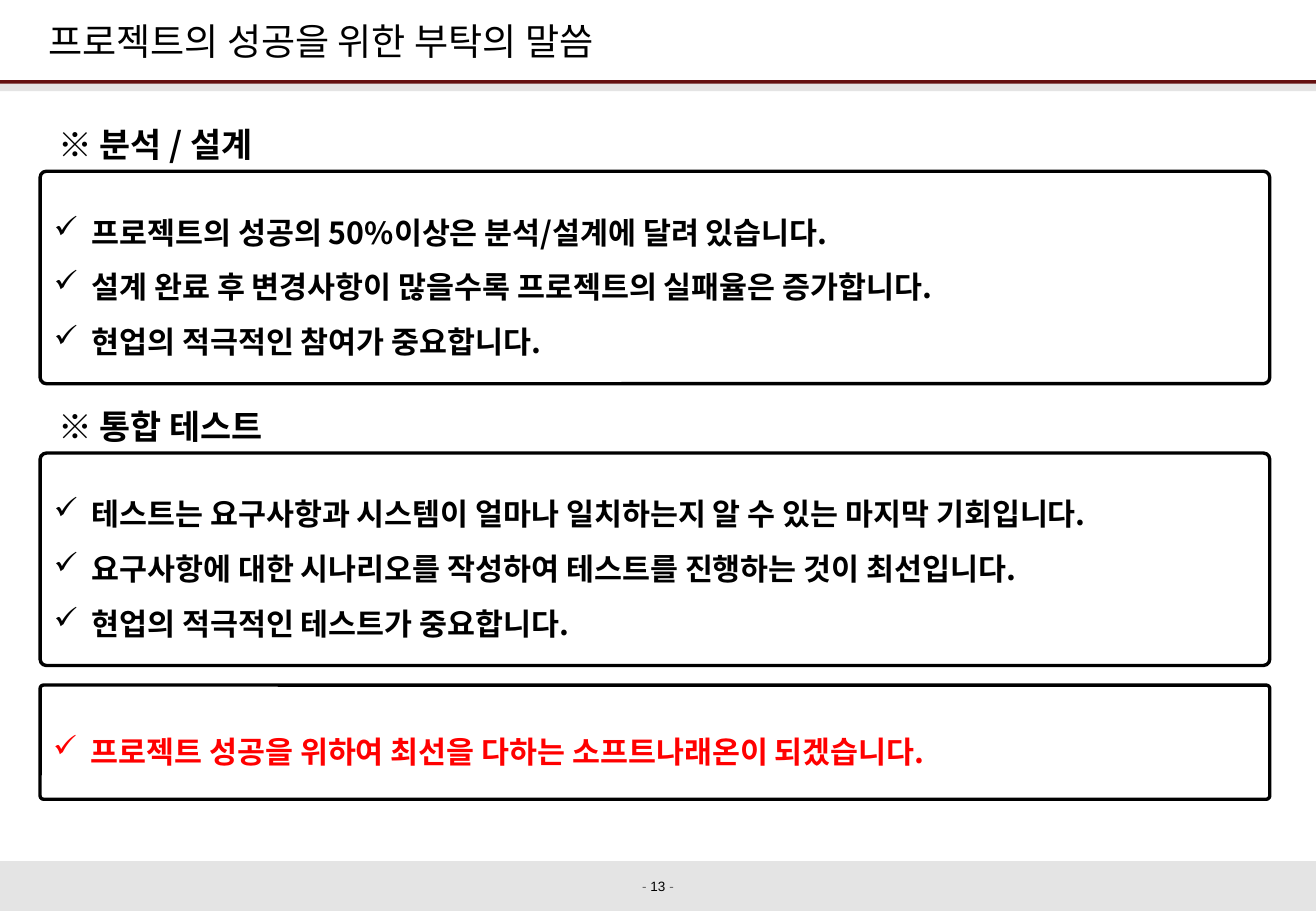
"""Build the slide with the closing requests for a successful project."""
import pptx
import pptx.dml.color
import pptx.enum.shapes
import pptx.enum.text
import pptx.oxml.ns
import pptx.util
from lxml import etree

WIDTH, HEIGHT = pptx.util.Inches(10.83), pptx.util.Inches(7.5)
SANS = "Noto Sans CJK KR"
LEFT, WIDE = 3.05, 93.44
ANCHOR = pptx.enum.text.MSO_ANCHOR
ALIGN = pptx.enum.text.PP_ALIGN
KIND = pptx.enum.shapes.MSO_SHAPE

TOPICS = [
    (18.8, "※ 분석 / 설계", [
        "프로젝트의 성공의 50%이상은 분석/설계에 달려 있습니다.",
        "설계 완료 후 변경사항이 많을수록 프로젝트의 실패율은 증가합니다.",
        "현업의 적극적인 참여가 중요합니다."]),
    (49.73, "※ 통합 테스트", [
        "테스트는 요구사항과 시스템이 얼마나 일치하는지 알 수 있는 마지막 기회입니다.",
        "요구사항에 대한 시나리오를 작성하여 테스트를 진행하는 것이 최선입니다.",
        "현업의 적극적인 테스트가 중요합니다."]),
]
PLEDGE = "프로젝트 성공을 위하여 최선을 다하는 소프트나래온이 되겠습니다."


def area(left, top, width, height):
    """Turn percent shares of the slide into lengths."""
    return (int(WIDTH * left / 100), int(HEIGHT * top / 100),
            int(WIDTH * width / 100), int(HEIGHT * height / 100))


def tint(target, code):
    """Give a fill or a font colour a solid hex colour."""
    if hasattr(target, "solid"):
        target.solid()
        target = target.fore_color
    target.rgb = pptx.dml.color.RGBColor.from_string(code)


def style(run, size, code="000000", bold=False, face=SANS):
    """Format one run, with the same face for Latin and Korean."""
    run.font.size = pptx.util.Pt(size)
    run.font.bold = bold
    tint(run.font.color, code)
    run.font.name = face
    east = etree.SubElement(run.font._element, pptx.oxml.ns.qn("a:ea"))
    east.set("typeface", face)


def tick(para):
    """Put a hanging check mark before a paragraph."""
    props = para._p.get_or_add_pPr()
    hang = pptx.util.Inches(0.31)
    props.set("marL", str(hang))
    props.set("indent", str(-hang))
    mark = etree.SubElement(props, pptx.oxml.ns.qn("a:buChar"))
    mark.set("char", "✓")


def band(slide, top, height, code):
    """Draw a plain band across the slide."""
    shape = slide.shapes.add_shape(KIND.RECTANGLE, *area(0, top, 100, height))
    shape.shadow.inherit = False
    tint(shape.fill, code)
    shape.line.fill.background()


def panel(slide, top, height, lines, code="000000"):
    """Draw a rounded frame holding a check list."""
    shape = slide.shapes.add_shape(KIND.ROUNDED_RECTANGLE,
                                   *area(LEFT, top, WIDE, height))
    shape.adjustments[0] = 0.03
    shape.shadow.inherit = False
    shape.fill.background()
    tint(shape.line.fill, "000000")
    shape.line.width = pptx.util.Pt(2)
    frame = shape.text_frame
    frame.text = "\n".join(lines)
    frame.word_wrap = True
    frame.vertical_anchor = ANCHOR.MIDDLE
    for para in frame.paragraphs:
        para.alignment = ALIGN.LEFT
        para.line_spacing = 1.5
        tick(para)
        style(para.runs[0], 18, code, True)


def head(slide, top, text):
    """Write a section heading."""
    frame = slide.shapes.add_textbox(*area(3.51, top, 21.05, 8.13)).text_frame
    frame.text = text
    frame.word_wrap = True
    frame.vertical_anchor = ANCHOR.MIDDLE
    style(frame.paragraphs[0].runs[0], 20, bold=True)


def title(slide, text):
    """Place and format the slide title."""
    shape = slide.shapes.title
    shape.left, shape.top, shape.width, shape.height = area(3.69, 2, 88, 4.93)
    frame = shape.text_frame
    frame.text = text
    frame.auto_size = pptx.enum.text.MSO_AUTO_SIZE.NONE
    frame.vertical_anchor = ANCHOR.TOP
    frame.margin_left = frame.margin_right = 0
    frame.margin_top = frame.margin_bottom = 0
    frame.paragraphs[0].alignment = ALIGN.LEFT
    style(frame.paragraphs[0].runs[0], 22)


def folio(slide, number):
    """Write the page number between grey dashes."""
    frame = slide.shapes.add_textbox(*area(0, 95.73, 100, 3.2)).text_frame
    frame.word_wrap = True
    para = frame.paragraphs[0]
    para.alignment = ALIGN.CENTER
    for text, code in (("- ", "666666"), (f"{number} ", "000000"), ("-", "666666")):
        run = para.add_run()
        run.text = text
        style(run, 8, code, face="Arial")


def main():
    """Build and save the slide."""
    deck = pptx.Presentation()
    deck.slide_width, deck.slide_height = WIDTH, HEIGHT
    slide = deck.slides.add_slide(deck.slide_layouts.get_by_name("Title Only"))
    band(slide, 94.53, 5.47, "E4E4E4")
    band(slide, 8.8, 1.2, "E4E4E4")
    band(slide, 8.8, 0.4, "651111")
    title(slide, "프로젝트의 성공을 위한 부탁의 말씀")
    for top, name, lines in TOPICS:
        panel(slide, top, 23.33, lines)
        head(slide, top - 7.07, name)
    panel(slide, 75.2, 12.53, [PLEDGE], "FF0000")
    folio(slide, 13)
    deck.save("out.pptx")


if __name__ == "__main__":
    main()
